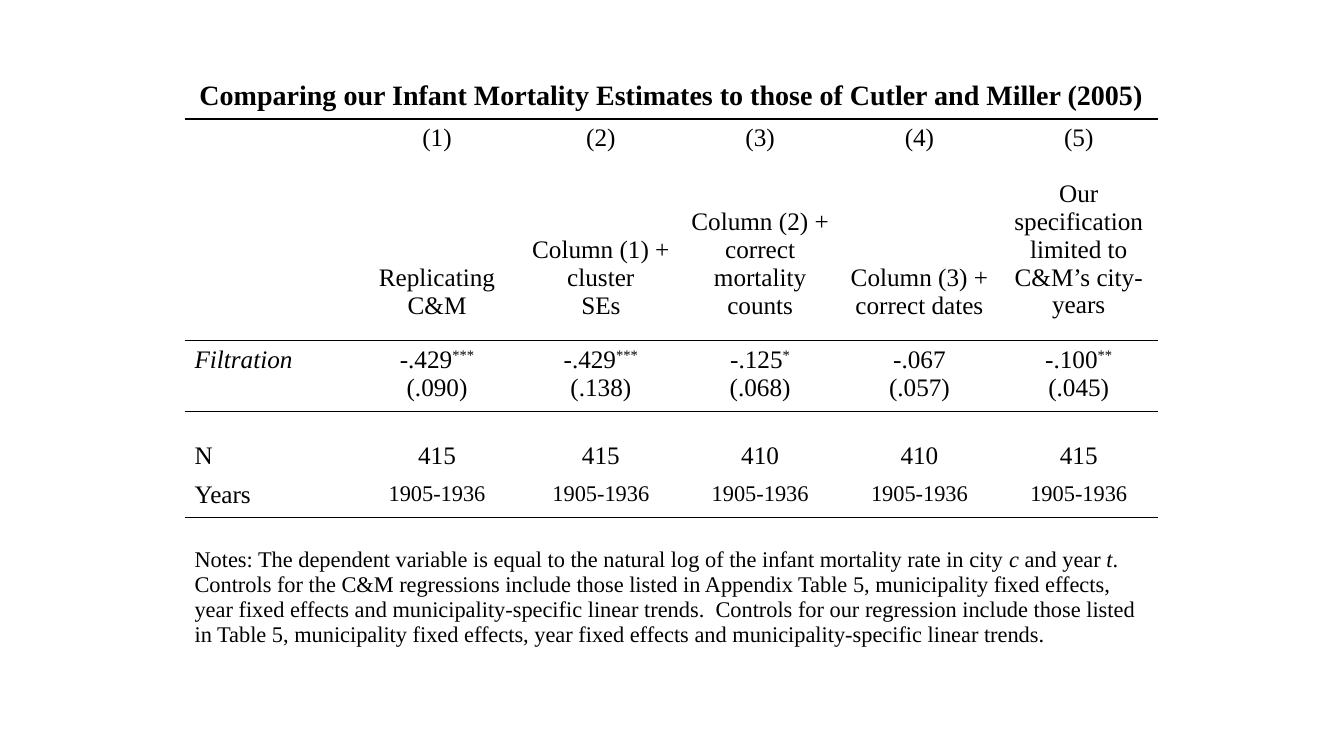
from pptx import Presentation
from pptx.dml.color import RGBColor
from pptx.enum.text import PP_ALIGN as Align
from pptx.oxml import parse_xml
from pptx.oxml.ns import nsdecls, qn
from pptx.util import Inches, Pt

BLANK_STYLE = "{2D5ABB26-0587-4C30-8999-92F81FD0307C}"
LINE = 20  # points from one text line to the next


def color(code):
    return RGBColor.from_string(code)


class Deck:
    font, ink, size = "Times New Roman", "000000", 18

    def __init__(self, width, height):
        self.prs = Presentation()
        self.prs.slide_width = Inches(width)
        self.prs.slide_height = Inches(height)
        self.slide = self.prs.slides.add_slide(self.prs.slide_layouts[6])

    def table(self, left, top, widths, heights):
        frame = self.slide.shapes.add_table(
            len(heights), len(widths), Inches(left), Inches(top),
            Inches(sum(widths)), Inches(sum(heights)))
        grid = frame.table
        grid.first_row = grid.horz_banding = False
        grid._tbl.tblPr.find(qn("a:tableStyleId")).text = BLANK_STYLE
        for col, width in zip(grid.columns, widths):
            col.width = Inches(width)
        for row, height in zip(grid.rows, heights):
            row.height = Inches(height)
        for cell in grid.iter_cells():
            cell.fill.background()
        return grid

    def style(self, run, size=None, bold=False, italic=False, raised=False):
        font = run.font
        font.name, font.size = self.font, Pt(size or self.size)
        font.bold, font.italic = bold, italic
        font.color.rgb = color(self.ink)
        if raised:
            run._r.get_or_add_rPr().set("baseline", "30000")

    def text(self, cell, *lines, align=Align.CENTER, **look):
        """Each line is a string or a list of (string, look) pairs."""
        frame = cell.text_frame
        for i, line in enumerate(lines):
            par = frame.add_paragraph() if i else frame.paragraphs[0]
            par.alignment = align
            if isinstance(line, str):
                par.text = line
                for run in par.runs:
                    self.style(run, **look)
            else:
                for words, extra in line:
                    run = par.add_run()
                    run.text = words
                    self.style(run, **{**look, **extra})
        return frame.paragraphs

    def rule(self, cells, side):
        for cell in cells:
            edge = parse_xml(
                f'<a:{side} {nsdecls("a")} w="12700"><a:solidFill>'
                f'<a:srgbClr val="{self.ink}"/></a:solidFill></a:{side}>')
            cell._tc.get_or_add_tcPr().insert(0, edge)

    def shrink(self, cell, size):
        """Set the text size of an empty cell."""
        par = cell.text_frame.paragraphs[0]._p
        par.append(parse_xml(
            f'<a:endParaRPr {nsdecls("a")} sz="{size * 100}"/>'))


# Column number, heading, blank lines above it, estimate, stars, error, N
MODELS = [
    ("(1)", "Replicating C&M", 4, "-.429", "***", "(.090)", "415"),
    ("(2)", "Column (1) +", 3, "-.429", "***", "(.138)", "415"),
    ("(3)", "Column (2) + correct mortality counts", 2,
     "-.125", "*", "(.068)", "410"),
    ("(4)", "Column (3) + correct dates", 4, "-.067", "", "(.057)", "410"),
    ("(5)", "Our specification limited to C&M’s city-years", 1,
     "-.100", "**", "(.045)", "415"),
]


def main():
    deck = Deck(13.33, 7.5)
    grid = deck.table(1.83, 0.75, [1.67] * 2 + [1.58] * 4,
                      [0.43, 2.2, 0.7, 0.23, 0.39, 0.41, 1.44])
    rows = [[grid.cell(r, c) for c in range(6)] for r in range(7)]
    title, heads, rates, gap, counts, years, notes = rows

    # Title
    title[0].merge(title[-1])
    deck.text(title[0], "Comparing our Infant Mortality Estimates to those of "
              "Cutler and Miller (2005)", size=20, bold=True)

    # Row labels
    deck.text(rates[0], "Filtration", align=Align.LEFT, italic=True)
    deck.text(counts[0], "N", align=Align.LEFT)
    deck.text(years[0], "Years", align=Align.LEFT)

    # Models
    for c, (num, head, skip, rate, stars, error, n) in enumerate(MODELS, 1):
        pars = deck.text(heads[c], num, head)
        pars[1].space_before = Pt(skip * LINE)
        marks = [(stars, {"raised": True})] if stars else []
        deck.text(rates[c], [(rate, {})] + marks, error)
        deck.text(counts[c], n)
        deck.text(years[c], "1905-1936", size=16)

    # Second heading ends in a line shifted to the left
    tail = heads[2].text_frame.add_paragraph()
    tail.text = "cluster\vSEs"
    tail.alignment = Align.CENTER
    tail._p.get_or_add_pPr().set("indent", str(Inches(-0.44)))
    for run in tail.runs:
        deck.style(run)

    # Narrow gap above the counts
    for cell in gap:
        deck.shrink(cell, 9)

    # Notes
    notes[0].merge(notes[-1])
    notes[0].margin_top = Inches(0.3)
    slant = {"italic": True}
    deck.text(notes[0], [
        ("Notes: The dependent variable is equal to the natural log of the "
         "infant mortality rate in city ", {}),
        ("c ", slant), ("and year ", {}), ("t", slant),
        (".  Controls for the C&M regressions include those listed in "
         "Appendix Table 5, municipality fixed effects, year fixed effects "
         "and municipality-specific linear trends.  Controls for our "
         "regression include those listed in Table 5, municipality fixed "
         "effects, year fixed effects and municipality-specific linear "
         "trends.", {}),
    ], align=Align.LEFT, size=16)

    # Rules: bottom edges go in first so that top edges precede them
    for above, below in ((title, heads), (heads, rates), (years, notes)):
        deck.rule(above, "lnB")
    for above, below in ((title, heads), (heads, rates), (years, notes)):
        deck.rule(below, "lnT")

    deck.prs.save("out.pptx")


if __name__ == "__main__":
    main()
